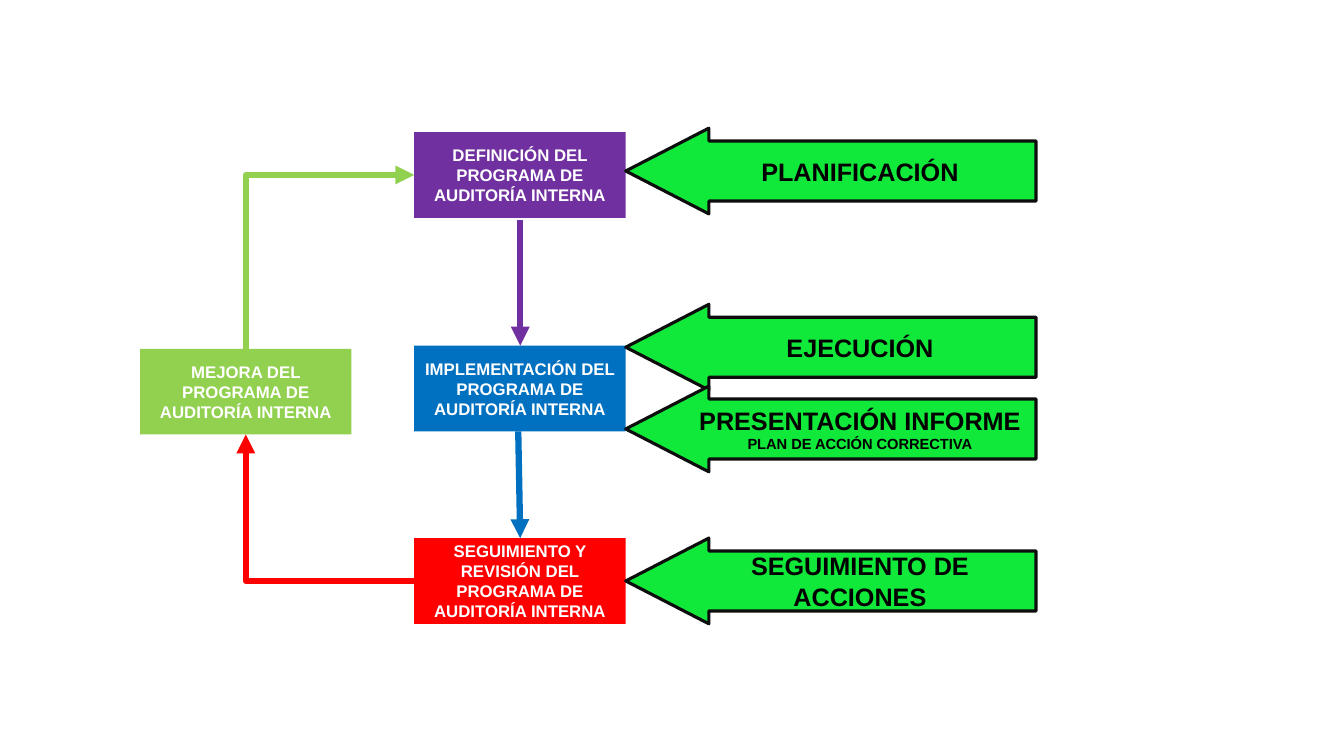
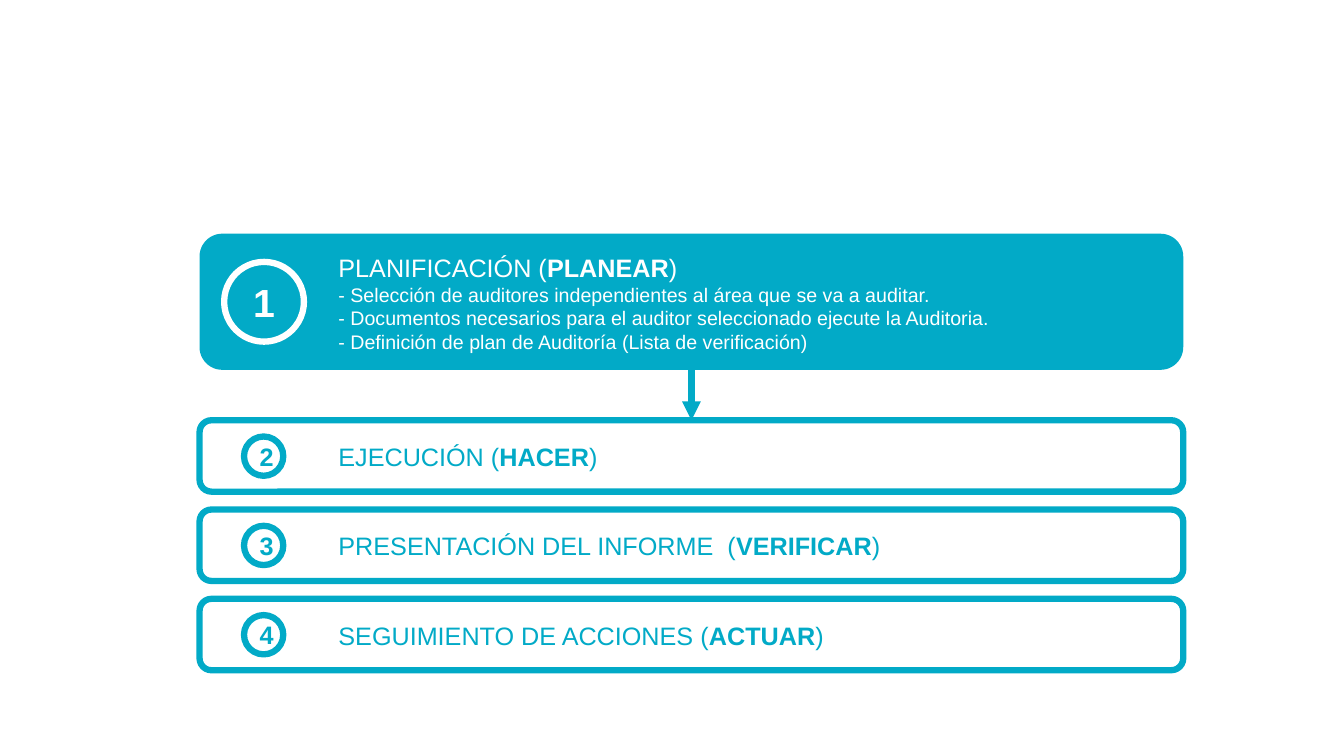
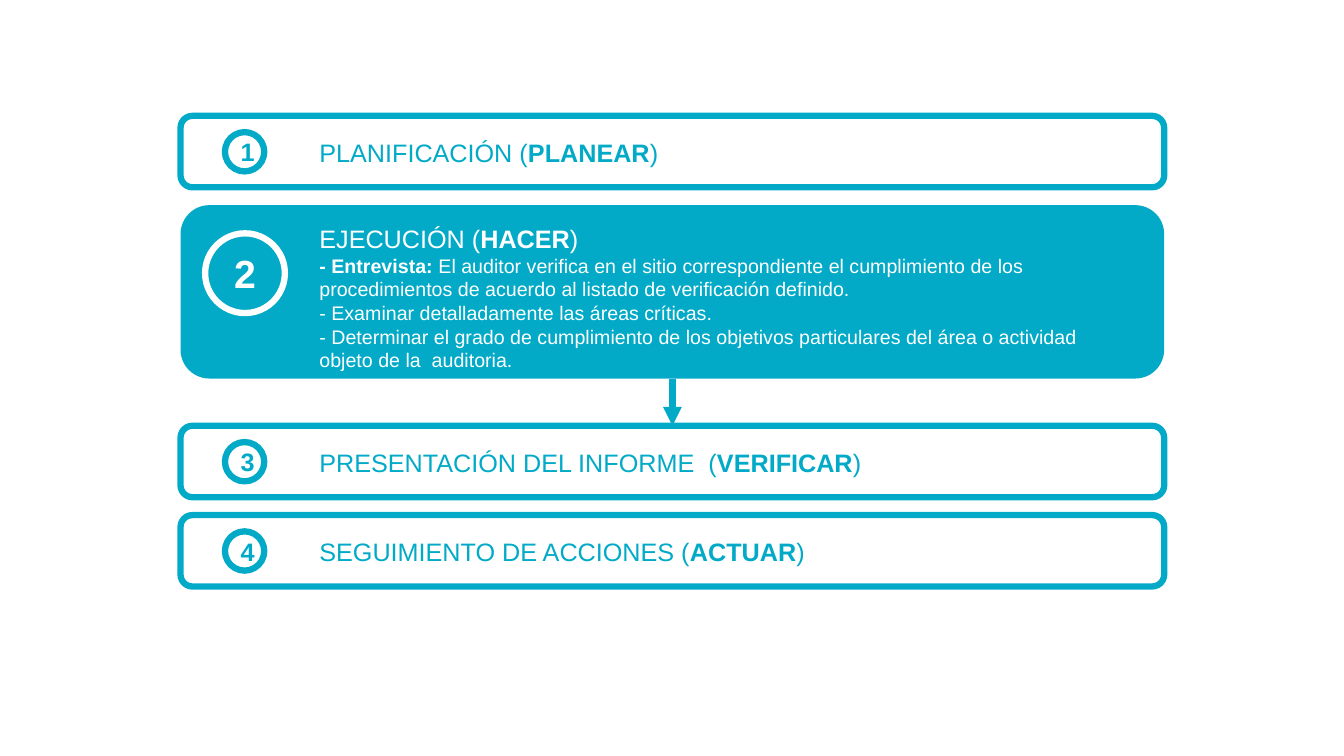
import pptx
import pptx.dml.color
import pptx.enum.shapes
import pptx.enum.text
import pptx.oxml.ns
import pptx.util
from lxml import etree

Cm, Pt = pptx.util.Cm, pptx.util.Pt
SHAPE = pptx.enum.shapes.MSO_SHAPE
CONN = pptx.enum.shapes.MSO_CONNECTOR
ALIGN = pptx.enum.text.PP_ALIGN
ANCHOR = pptx.enum.text.MSO_ANCHOR
AUTO = pptx.enum.text.MSO_AUTO_SIZE
qn = pptx.oxml.ns.qn

COLORS = {
    "white": "FFFFFF", "black": "000000", "outline": "0D0D0D",
    "improve": "92D050", "define": "7030A0", "implement": "0070C0",
    "review": "FF0000", "phase": "11E93A", "teal": "02AAC7",
}


def rgb(name):
    return pptx.dml.color.RGBColor.from_string(COLORS[name])


class Deck:
    """Style and current slide; all lengths are centimetres."""
    FONT = "Arial"
    HEAVY = 4.5
    BOX_W, BOX_H = 5.33, 2.16
    PHASE_W = 10.34
    ROW_W, ROW_H, ROW_GAP = 24.79, 1.8, 0.45
    TEXT_DX, TEXT_W = 3.25, 21.06

    def __init__(self):
        self.prs = pptx.Presentation()
        self.prs.slide_width, self.prs.slide_height = Cm(33.87), Cm(19.05)

    def new_slide(self):
        self.s = self.prs.slides.add_slide(self.prs.slide_layouts[6])

    def fill_text(self, tf, paras, color, align):
        """Each paragraph is a list of (text, size, bold) runs."""
        tf.word_wrap = True
        for i, runs in enumerate(paras):
            p = tf.paragraphs[0] if i == 0 else tf.add_paragraph()
            p.alignment = align
            for text, size, bold in runs:
                r = p.add_run()
                r.text = text
                r.font.name, r.font.size, r.font.bold = self.FONT, Pt(size), bold
                r.font.color.rgb = rgb(color)

    def shape(self, kind, x, y, w, h, fill, line=None, width=HEAVY,
              paras=(), color="white"):
        sp = self.s.shapes.add_shape(kind, Cm(x), Cm(y), Cm(w), Cm(h))
        sp.shadow.inherit = False
        sp.fill.solid()
        sp.fill.fore_color.rgb = rgb(fill)
        if line:
            sp.line.color.rgb = rgb(line)
            sp.line.width = Pt(width)
        else:
            sp.line.fill.background()
        sp.text_frame.vertical_anchor = ANCHOR.MIDDLE
        self.fill_text(sp.text_frame, paras, color, ALIGN.CENTER)
        return sp

    def text(self, x, y, w, h, paras, color):
        sp = self.s.shapes.add_textbox(Cm(x), Cm(y), Cm(w), Cm(h))
        self.fill_text(sp.text_frame, paras, color, ALIGN.LEFT)
        sp.text_frame.auto_size = AUTO.SHAPE_TO_FIT_TEXT

    def arrow(self, x1, y1, x2, y2, color, kind=CONN.STRAIGHT, end="tailEnd"):
        cx = self.s.shapes.add_connector(kind, Cm(x1), Cm(y1), Cm(x2), Cm(y2))
        cx.line.color.rgb = rgb(color)
        cx.line.width = Pt(self.HEAVY)
        props = cx._element.spPr
        etree.SubElement(props.find(qn("a:ln")), qn("a:" + end), type="triangle")
        etree.SubElement(props, qn("a:effectLst"))
        return cx

    def elbow(self, side_box, end_box, site, color, end):
        """One bend, from the left side of one box to a site of another."""
        x1, y1 = side_box.left, side_box.top + side_box.height // 2
        x2 = end_box.left + end_box.width // 2
        y2 = end_box.top + (end_box.height if site == 2 else 0)
        points = [pptx.util.Emu(v).cm for v in (x1, y1, x2, y2)]
        cx = self.arrow(*points, color, CONN.ELBOW, end)
        cx._element.spPr.find(qn("a:prstGeom")).set("prst", "bentConnector2")
        cx.begin_connect(side_box, 1)
        cx.end_connect(end_box, site)

    def box(self, x, y, text, fill):
        return self.shape(SHAPE.RECTANGLE, x, y, self.BOX_W, self.BOX_H, fill,
                          paras=[[(text, 12, True)]])

    def phase(self, x, y, *lines):
        paras = [[(text, size, True)] for text, size in zip(lines, (18, 10.5))]
        sp = self.shape(SHAPE.LEFT_ARROW, x, y, self.PHASE_W, self.BOX_H, "phase",
                        "outline", 2.25, paras, "black")
        sp.adjustments[0], sp.adjustments[1] = 0.7, 0.97

    def row(self, x, y, h, number, heading, details):
        """A numbered stage: filled when it has details, else outlined."""
        if details:
            fill, ink, edge = "teal", "white", None
            dx, dy, size, pt, text_dy = 0.62, 0.71, 2.01, 28, 0.34
        else:
            fill, ink, edge = "white", "teal", "teal"
            dx, dy, size, pt, text_dy = 1.12, 0.41, 0.99, 18, 0.41
        self.shape(SHAPE.ROUNDED_RECTANGLE, x, y, self.ROW_W, h, fill, edge)
        self.shape(SHAPE.OVAL, x + dx, y + dy, size, size, fill, ink,
                   paras=[[(str(number), pt, True)]], color=ink)
        name, step = heading
        title = [(name + " (", 18, False), (step, 18, True), (")", 18, False)]
        self.text(x + self.TEXT_DX, y + text_dy, self.TEXT_W, h - 2 * text_dy,
                  [title] + details, ink)

    def stages(self, x, y, active, active_h, arrow_len, details):
        for number, heading in enumerate(STAGES, 1):
            is_active = number == active
            h = active_h if is_active else self.ROW_H
            self.row(x, y, h, number, heading, details if is_active else [])
            y += h
            if is_active:
                mid = x + self.ROW_W / 2
                self.arrow(mid, y, mid, y + arrow_len, "teal")
            y += arrow_len if is_active else self.ROW_GAP


STAGES = [
    ("PLANIFICACIÓN", "PLANEAR"),
    ("EJECUCIÓN", "HACER"),
    ("PRESENTACIÓN DEL INFORME ", "VERIFICAR"),
    ("SEGUIMIENTO DE ACCIONES", "ACTUAR"),
]


def plain(text):
    return (text, 14, False)


def main():
    deck = Deck()

    # Audit programme cycle
    deck.new_slide()
    mid_x = 10.44
    phase_x = mid_x + deck.BOX_W
    improve = deck.box(3.53, 8.79, "MEJORA DEL PROGRAMA DE AUDITORÍA INTERNA", "improve")
    define = deck.box(mid_x, 3.33, "DEFINICIÓN DEL PROGRAMA DE AUDITORÍA INTERNA", "define")
    deck.box(mid_x, 8.71, "IMPLEMENTACIÓN DEL PROGRAMA DE AUDITORÍA INTERNA", "implement")
    review = deck.box(mid_x, 13.56,
                      "SEGUIMIENTO Y REVISIÓN DEL PROGRAMA DE AUDITORÍA INTERNA", "review")
    deck.elbow(define, improve, 0, "improve", "headEnd")
    deck.arrow(13.11, 5.54, 13.11, 8.71, "define")
    deck.arrow(13.06, 10.87, 13.11, 13.56, "implement")
    deck.elbow(review, improve, 2, "review", "tailEnd")

    # Phases pointing at the cycle
    deck.phase(phase_x, 3.23, "PLANIFICACIÓN")
    deck.phase(phase_x, 7.67, "EJECUCIÓN")
    deck.phase(phase_x, 9.73, "PRESENTACIÓN INFORME", "PLAN DE ACCIÓN CORRECTIVA")
    deck.phase(phase_x, 13.56, "SEGUIMIENTO DE ACCIONES")

    # Stage 1: plan
    deck.new_slide()
    deck.stages(5.03, 5.89, 1, 3.43, 1.27, [
        [plain("- Selección de auditores independientes al área que se va a auditar.")],
        [plain("- Documentos necesarios para el auditor seleccionado ejecute la Auditoria.")],
        [plain("- Definición de plan de Auditoría (Lista de verificación)")],
    ])

    # Stage 2: do
    deck.new_slide()
    deck.stages(4.55, 2.92, 2, 4.37, 1.19, [
        [("- Entrevista: ", 14, True),
         plain("El auditor verifica en el sitio correspondiente el cumplimiento de los "
               "procedimientos de acuerdo al listado de verificación definido.")],
        [plain("- Examinar detalladamente las áreas críticas.")],
        [plain("- Determinar el grado de cumplimiento de los objetivos particulares "
               "del área o actividad objeto de la  auditoria.")],
    ])

    deck.prs.save("out.pptx")


if __name__ == "__main__":
    main()
